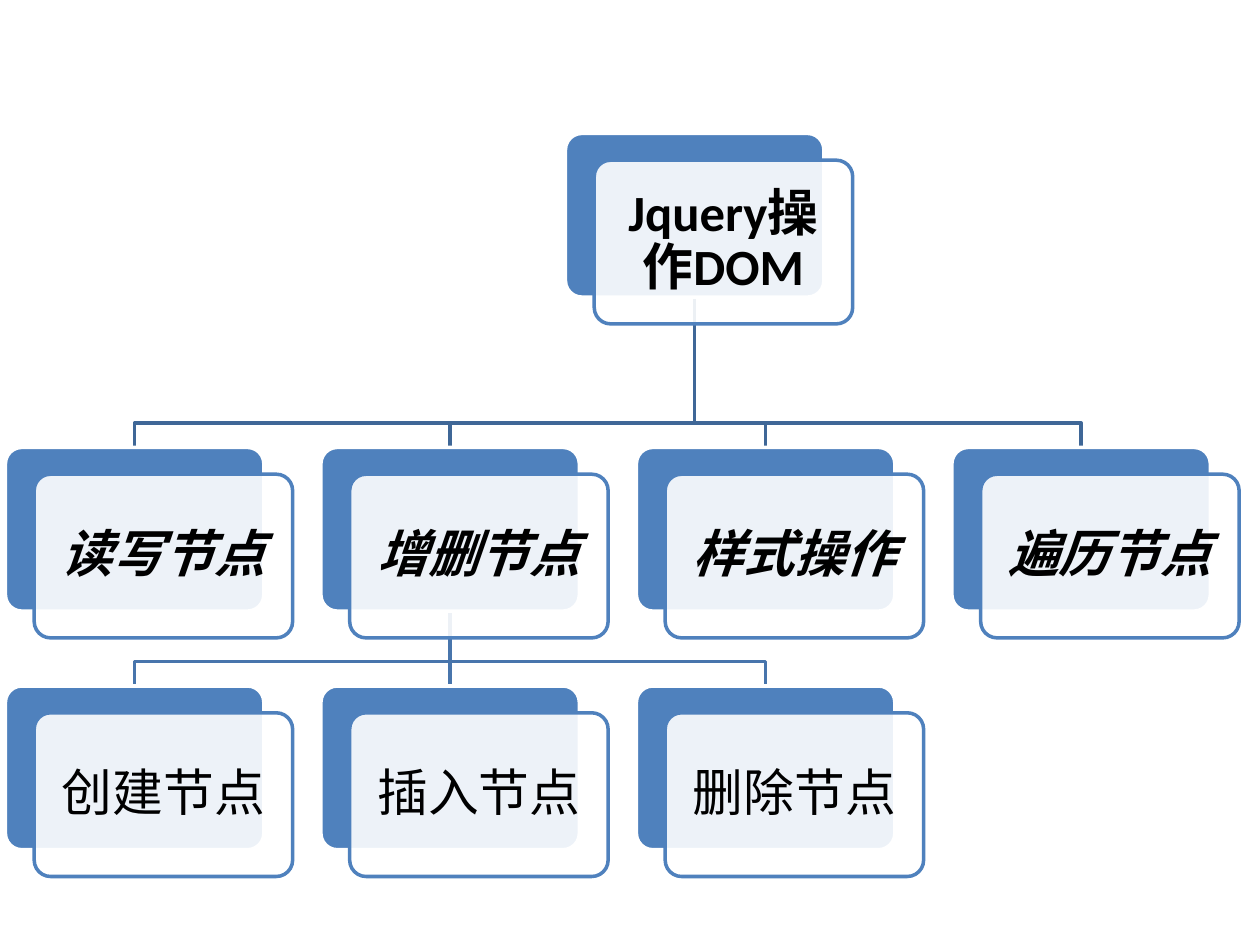
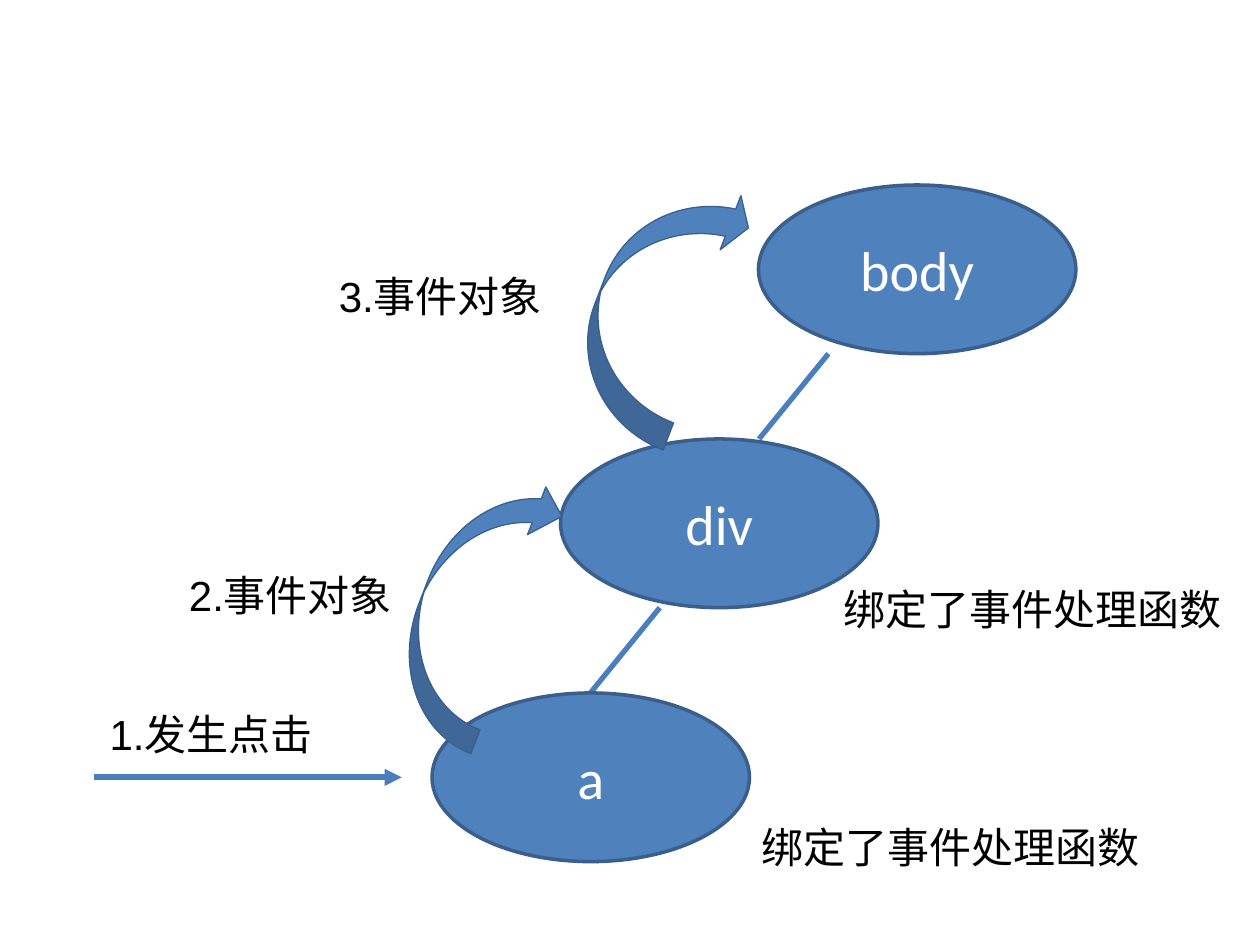
"""Build two slides: a tree of jQuery DOM operations and an event bubbling diagram."""
from typing import NamedTuple, Optional

import lxml.etree
import pptx
import pptx.dml.color
import pptx.enum.dml
import pptx.enum.shapes
import pptx.enum.text
import pptx.oxml.ns
import pptx.shapes.autoshape
import pptx.shapes.base
import pptx.shapes.connector
import pptx.slide
import pptx.text.text
import pptx.util

Cm = pptx.util.Cm
Pt = pptx.util.Pt
RGBColor = pptx.dml.color.RGBColor
MSO_SHAPE = pptx.enum.shapes.MSO_SHAPE
PP_ALIGN = pptx.enum.text.PP_ALIGN
MSO_ANCHOR = pptx.enum.text.MSO_ANCHOR
Slide = pptx.slide.Slide
Shape = pptx.shapes.autoshape.Shape
Connector = pptx.shapes.connector.Connector

BLUE = RGBColor(0x4F, 0x81, 0xBD)
EDGE = RGBColor(0x3A, 0x5F, 0x8C)
LINE = RGBColor(0x4B, 0x7E, 0xBC)
TOP_LINK = RGBColor(0x3F, 0x67, 0x97)
LOW_LINK = RGBColor(0x48, 0x75, 0xAC)
WHITE = RGBColor(0xFF, 0xFF, 0xFF)
BLACK = RGBColor(0x00, 0x00, 0x00)

CARD_W, CARD_H = 5.21, 3.3
CARD_DX, CARD_DY = 0.58, 0.54
CARD_LEFT, CARD_PITCH = 0.11, 6.36
ROOT_TOP, OPERATION_TOP, STEP_TOP = 2.69, 9.02, 13.83
LINK_DROP = 0.49

OVAL_W, OVAL_H = 6.4, 3.4
OVAL_TOP, OVAL_PITCH = 3.73, 5.12


class Card(NamedTuple):
    """A tree node, placed in cm."""
    text: str
    left: float
    top: float
    bold: bool = False
    italic: bool = False


class Oval(NamedTuple):
    """A DOM element, with the start of its line to the child below."""
    text: str
    left: float
    line_x: Optional[float] = None


class Arrow(NamedTuple):
    """A curved arrow, placed in cm."""
    left: float
    top: float
    width: float
    height: float
    head: float


class Label(NamedTuple):
    """A caption, placed in cm."""
    text: str
    left: float
    top: float
    width: float = 8


OPERATIONS = ("读写节点", "增删节点", "样式操作", "遍历节点")
STEPS = ("创建节点", "插入节点", "删除节点")
OVALS = (Oval("body", 15.29, 16.7), Oval("div", 11.3, 13.3), Oval("a", 8.71))
ARROWS = (Arrow(12.07, 3.45, 2.34, 5.38, 0.16), Arrow(8.51, 9.37, 2.06, 5.64, 0.25))
LABELS = (
    Label("1.发生点击", 1.96, 14.15),
    Label("2.事件对象", 3.56, 11.35),
    Label("3.事件对象", 6.58, 5.33),
    Label("绑定了事件处理函数", 16.76, 11.63, 8.64),
    Label("绑定了事件处理函数", 15.11, 16.43, 8.64),
)


def write(tf: pptx.text.text.TextFrame, text: str, *, size: float, color: RGBColor,
          font: str = "Calibri", align: PP_ALIGN = PP_ALIGN.CENTER,
          anchor: MSO_ANCHOR = MSO_ANCHOR.MIDDLE, bold: bool = False,
          italic: bool = False, spacing: float = 1.0) -> None:
    """Put one formatted paragraph in a text frame."""
    tf.word_wrap = True
    tf.vertical_anchor = anchor
    p = tf.paragraphs[0]
    p.alignment = align
    p.line_spacing = spacing
    r = p.add_run()
    r.text = text
    r.font.name, r.font.size = font, Pt(size)
    r.font.bold, r.font.italic = bold, italic
    r.font.color.rgb = color


def add_block(s: Slide, kind: MSO_SHAPE, left: float, top: float, width: float,
              height: float, fill: RGBColor, line: RGBColor, weight: float = 2) -> Shape:
    """Add a filled and outlined preset shape."""
    sp = s.shapes.add_shape(kind, Cm(left), Cm(top), Cm(width), Cm(height))
    sp.shadow.inherit = False
    sp.fill.solid()
    sp.fill.fore_color.rgb = fill
    sp.line.color.rgb = line
    sp.line.width = Pt(weight)
    return sp


def add_card(s: Slide, card: Card) -> Shape:
    """Draw a card with its translucent front plate and return the back plate."""
    back = add_block(s, MSO_SHAPE.ROUNDED_RECTANGLE, card.left, card.top,
                     CARD_W, CARD_H, BLUE, WHITE)
    front = add_block(s, MSO_SHAPE.ROUNDED_RECTANGLE, card.left + CARD_DX,
                      card.top + CARD_DY, CARD_W, CARD_H, WHITE, BLUE)
    for sp in (back, front):
        sp.adjustments[0] = 0.1
    color = front.fill._xPr.find(".//" + pptx.oxml.ns.qn("a:srgbClr"))
    lxml.etree.SubElement(color, pptx.oxml.ns.qn("a:alpha"), val="90000")
    tf = front.text_frame
    tf.margin_left = tf.margin_right = tf.margin_top = tf.margin_bottom = Cm(0.3)
    write(tf, card.text, size=29, color=BLACK, bold=card.bold,
          italic=card.italic, spacing=0.9)
    return back


def add_line(s: Slide, x1: float, y1: float, x2: float, y2: float,
             color: RGBColor, weight: float) -> Connector:
    """Add a straight connector without a shadow."""
    line = s.shapes.add_connector(pptx.enum.shapes.MSO_CONNECTOR.STRAIGHT,
                                  Cm(x1), Cm(y1), Cm(x2), Cm(y2))
    line.line.color.rgb = color
    line.line.width = Pt(weight)
    lxml.etree.SubElement(line._element.spPr, pptx.oxml.ns.qn("a:effectLst"))
    return line


def send_to_back(sp: pptx.shapes.base.BaseShape) -> None:
    """Move a shape behind all others."""
    sp._element.getparent().insert(2, sp._element)


def link(s: Slide, parent: Shape, child: Shape, color: RGBColor) -> None:
    """Join a parent card to a child card, straight or with two bends."""
    x1, y1 = parent.left + parent.width // 2, parent.top + parent.height
    x2, y2 = child.left + child.width // 2, child.top
    if x1 == x2:
        sp = add_line(s, 0, 0, 1, 1, color, 2)
        sp.begin_connect(parent, 2)
        sp.end_connect(child, 0)
    else:
        bend = y2 - Cm(LINK_DROP)
        outline = s.shapes.build_freeform(x1, y1)
        outline.add_line_segments([(x1, bend), (x2, bend), (x2, y2)], close=False)
        sp = outline.convert_to_shape()
        sp.shadow.inherit = False
        sp.fill.background()
        sp.line.color.rgb = color
        sp.line.width = Pt(2)
    send_to_back(sp)


def add_row(s: Slide, texts: tuple[str, ...], top: float, strong: bool) -> list[Shape]:
    """Draw a row of cards on the column grid."""
    return [add_card(s, Card(text, CARD_LEFT + i * CARD_PITCH, top, strong, strong))
            for i, text in enumerate(texts)]


def build_tree(s: Slide) -> None:
    """Draw the tree of DOM operations."""
    root = add_card(s, Card("Jquery操作DOM", 11.4, ROOT_TOP, bold=True))
    operations = add_row(s, OPERATIONS, OPERATION_TOP, True)
    steps = add_row(s, STEPS, STEP_TOP, False)
    for operation in operations:
        link(s, root, operation, TOP_LINK)
    for step in steps:
        link(s, operations[1], step, LOW_LINK)


def build_bubbling(s: Slide) -> None:
    """Draw an event bubbling from a link up to the body."""
    for i, oval in enumerate(OVALS):
        top = OVAL_TOP + i * OVAL_PITCH
        sp = add_block(s, MSO_SHAPE.OVAL, oval.left, top, OVAL_W, OVAL_H, BLUE, EDGE)
        write(sp.text_frame, oval.text, size=32, color=WHITE)
        if oval.line_x is not None:
            add_line(s, oval.line_x, top + OVAL_H, oval.line_x - 1.4,
                     top + OVAL_PITCH, LINE, 3)
    click = add_line(s, 1.9, 15.67, 8.1, 15.67, LINE, 3.25)
    lxml.etree.SubElement(click.line._get_or_add_ln(),
                          pptx.oxml.ns.qn("a:tailEnd"), type="triangle")
    for arrow in ARROWS:
        sp = add_block(s, MSO_SHAPE.CURVED_LEFT_ARROW, arrow.left, arrow.top,
                       arrow.width, arrow.height, BLUE, EDGE, 0.75)
        sp.rotation = 201
        for i, value in enumerate((0.25, 0.5, arrow.head)):
            sp.adjustments[i] = value
    for label in LABELS:
        sp = s.shapes.add_textbox(Cm(label.left), Cm(label.top),
                                  Cm(label.width), Cm(1.28))
        write(sp.text_frame, label.text, size=24, color=BLACK, font="Arial",
              align=PP_ALIGN.LEFT, anchor=MSO_ANCHOR.TOP)
        sp.text_frame.auto_size = pptx.enum.text.MSO_AUTO_SIZE.SHAPE_TO_FIT_TEXT


def main() -> None:
    """Build and save the presentation."""
    prs = pptx.Presentation()
    prs.slide_width, prs.slide_height = Cm(25.4), Cm(19.05)
    for build in (build_tree, build_bubbling):
        build(prs.slides.add_slide(prs.slide_layouts[6]))
    prs.save("out.pptx")


if __name__ == "__main__":
    main()
